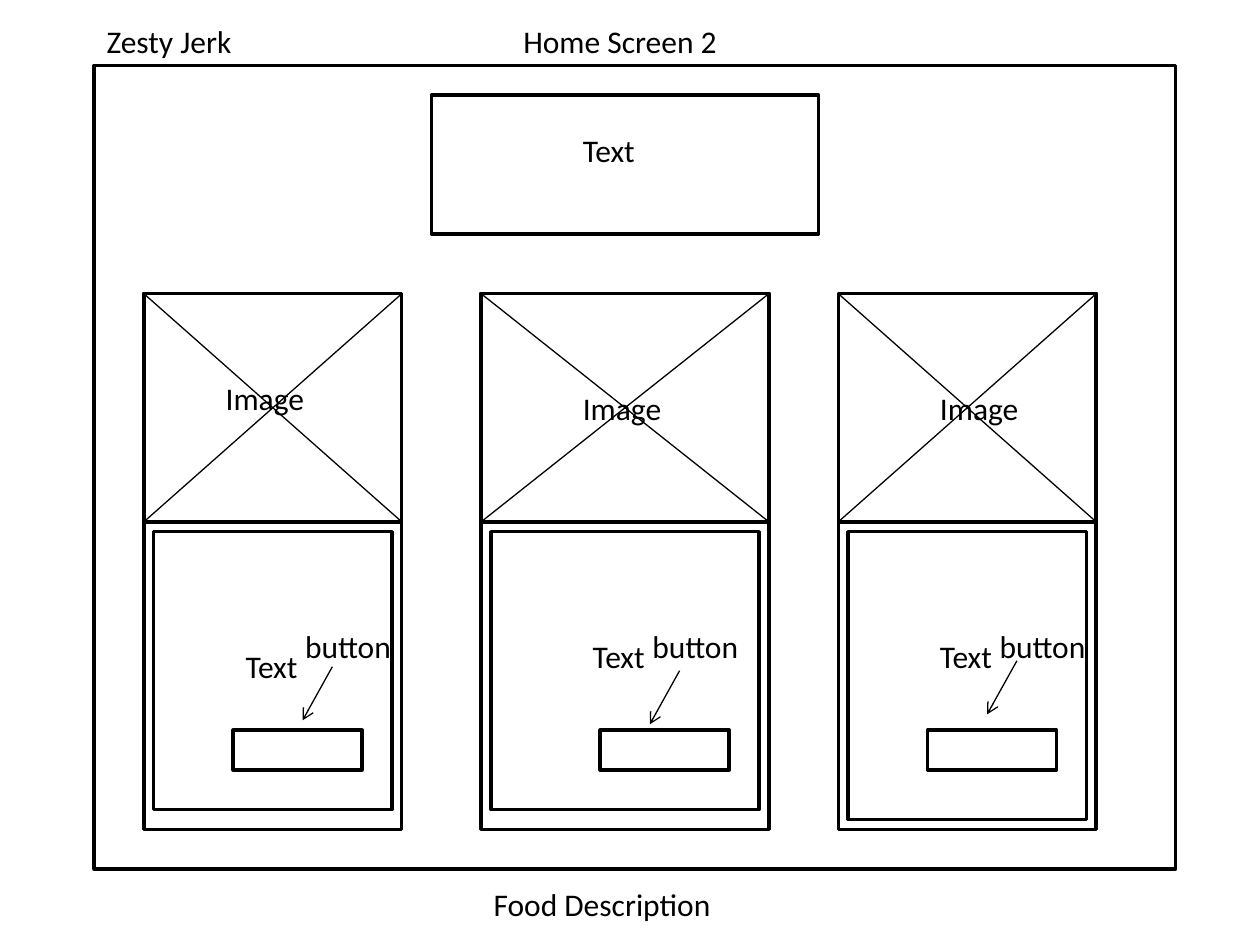
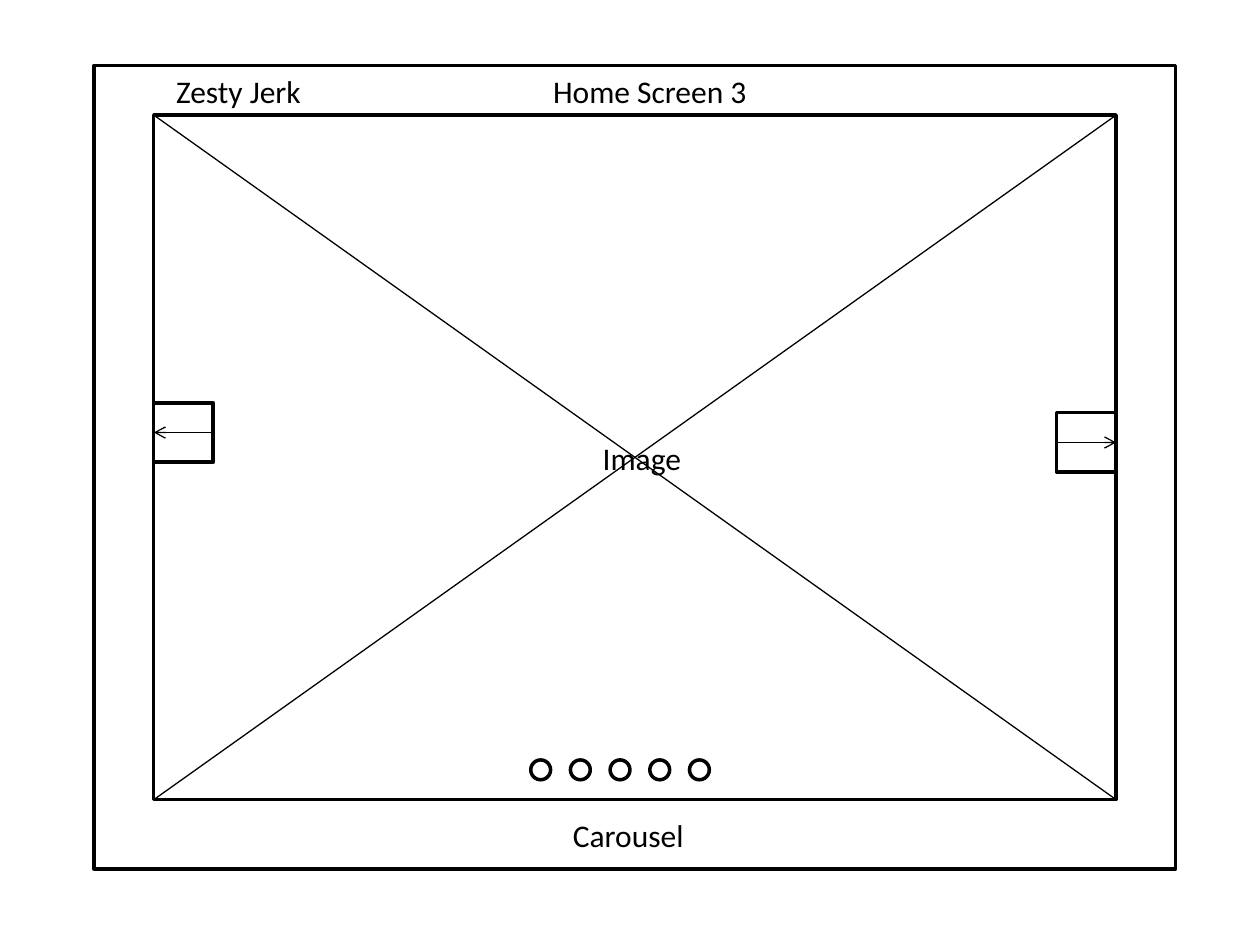
from dataclasses import dataclass

from lxml import etree
from pptx import Presentation
from pptx.dml.color import RGBColor
from pptx.enum.shapes import MSO_CONNECTOR, MSO_SHAPE
from pptx.enum.text import MSO_AUTO_SIZE
from pptx.oxml.ns import qn
from pptx.util import Cm, Pt

RECTANGLE = MSO_SHAPE.RECTANGLE
OVAL = MSO_SHAPE.OVAL
STRAIGHT = MSO_CONNECTOR.STRAIGHT
FIT_SHAPE = MSO_AUTO_SIZE.SHAPE_TO_FIT_TEXT
BLACK = "000000"
WHITE = "FFFFFF"
FONT = "Calibri"
SITE_NAME = "Zesty Jerk"
LABEL_HEIGHT = 1.02


@dataclass(frozen=True)
class Box:
    """A rectangle in centimetres."""

    left: float
    top: float
    width: float
    height: float

    @property
    def right(self) -> float:
        """Return the right edge."""
        return self.left + self.width

    @property
    def bottom(self) -> float:
        """Return the bottom edge."""
        return self.top + self.height

    @property
    def middle(self) -> float:
        """Return the vertical centre."""
        return self.top + self.height / 2


@dataclass(frozen=True)
class Card:
    """A food card and the places of its labels, button and arrow."""

    left: float
    width: float
    panel_height: float
    image_label: tuple[float, float]
    text_label: tuple[float, float]
    button_left: float
    button_label_left: float
    arrow_start: tuple[float, float]


FRAME = Box(1.9, 1.32, 21.8, 16.2)
CARDS = (
    Card(2.9, 5.2, 5.6, (4.3, 7.52), (4.7, 12.92), 4.7, 5.9, (6.7, 13.44)),
    Card(9.7, 5.8, 5.6, (11.5, 7.72), (11.7, 12.72), 12.1, 12.9, (13.7, 13.52)),
    Card(16.9, 5.2, 5.8, (18.7, 7.72), (18.7, 12.72), 18.7, 19.9, (20.5, 13.32)),
)


def color(value: str) -> RGBColor:
    """Turn a hex string into a colour."""
    return RGBColor.from_string(value)


def add_box(slide, box: Box, kind=RECTANGLE):
    """Draw a white shape with a black outline."""
    shape = slide.shapes.add_shape(
        kind, Cm(box.left), Cm(box.top), Cm(box.width), Cm(box.height)
    )
    shape.shadow.inherit = False
    shape.fill.solid()
    shape.fill.fore_color.rgb = color(WHITE)
    shape.line.color.rgb = color(BLACK)
    shape.line.width = Pt(2)
    return shape


def add_line(slide, start: tuple[float, float], end: tuple[float, float], arrow: bool = False):
    """Draw a thin line, with an open arrowhead at its end if asked."""
    connector = slide.shapes.add_connector(
        STRAIGHT, Cm(start[0]), Cm(start[1]), Cm(end[0]), Cm(end[1])
    )
    connector.line.color.rgb = color(BLACK)
    connector.line.width = Pt(0.75)
    if arrow:
        outline = connector.line._get_or_add_ln()
        etree.SubElement(outline, qn("a:tailEnd"), type="arrow")
    etree.SubElement(connector._element.spPr, qn("a:effectLst"))
    return connector


def add_label(slide, text: str, left: float, top: float, width: float, *,
              size: float = 18, font: str = FONT, ink: str = BLACK):
    """Write one line of text in a text box."""
    shape = slide.shapes.add_textbox(Cm(left), Cm(top), Cm(width), Cm(LABEL_HEIGHT))
    shape.text_frame.word_wrap = True
    shape.text_frame.auto_size = FIT_SHAPE
    run = shape.text_frame.paragraphs[0].add_run()
    run.text = text
    run.font.size = Pt(size)
    run.font.name = font
    run.font.color.rgb = color(ink)
    return shape


def add_diagonals(slide, box: Box) -> None:
    """Cross a box from corner to corner."""
    add_line(slide, (box.left, box.top), (box.right, box.bottom))
    add_line(slide, (box.left, box.bottom), (box.right, box.top))


def add_screen(presentation):
    """Add a blank slide with the screen frame."""
    slide = presentation.slides.add_slide(presentation.slide_layouts[6])
    add_box(slide, FRAME)
    return slide


def add_card(slide, card: Card) -> None:
    """Draw a card: crossed image, description panel and button."""
    outer = Box(card.left, 5.92, card.width, 10.8)
    image = Box(card.left, outer.top, card.width, 4.6)
    panel = Box(card.left + 0.2, image.bottom + 0.2, card.width - 0.4, card.panel_height)
    add_box(slide, outer)
    add_box(slide, image)
    add_diagonals(slide, image)
    add_label(slide, "Image", *card.image_label, 2.8)
    add_box(slide, panel)
    add_label(slide, "Text", *card.text_label, 2)
    add_box(slide, Box(card.button_left, 14.72, 2.6, 0.8))
    start_x, start_y = card.arrow_start
    add_line(slide, card.arrow_start, (start_x - 0.6, start_y + 1.08), arrow=True)
    add_label(slide, "button", card.button_label_left, 12.52, 2.4)


def build_food_description(presentation) -> None:
    """Build the screen with three food cards."""
    slide = add_screen(presentation)
    add_label(slide, SITE_NAME, FRAME.left, 0.32, 4.2)
    add_label(slide, "Home Screen 2", 10.3, 0.32, 4.8)
    add_box(slide, Box(8.7, 1.92, 7.8, 2.8))
    add_label(slide, "Text", 11.5, 2.52, 3)
    for card in CARDS:
        add_card(slide, card)
    add_label(slide, "Food Description", 9.7, 17.72, 5.4)


def build_carousel(presentation) -> None:
    """Build the screen with the image carousel."""
    slide = add_screen(presentation)
    image = Box(3.1, 2.32, 19.4, 13.8)
    previous_button = Box(image.left, 8.12, 1.2, 1.2)
    next_button = Box(image.right - 1.2, 8.32, 1.2, 1.2)
    for box in (image, previous_button, next_button):
        add_box(slide, box)
    add_line(slide, (previous_button.right, previous_button.middle),
             (previous_button.left, previous_button.middle), arrow=True)
    add_line(slide, (next_button.left, next_button.middle),
             (next_button.right, next_button.middle), arrow=True)
    add_diagonals(slide, image)
    add_label(slide, "Image", 11.9, 8.72, 3)
    for index in range(5):
        add_box(slide, Box(10.7 + 0.8 * index, 15.32, 0.4, 0.4), OVAL)
    add_label(slide, "Home Screen 3", 10.9, FRAME.top, 5.8)
    add_label(slide, SITE_NAME, 3.3, FRAME.top, 3.4)
    add_label(slide, "Carousel", 11.3, 16.32, 6.4)


def main() -> None:
    """Build and save the presentation."""
    presentation = Presentation()
    presentation.slide_width = Cm(25.4)
    presentation.slide_height = Cm(19.05)
    build_food_description(presentation)
    build_carousel(presentation)
    presentation.save("out.pptx")


main()
